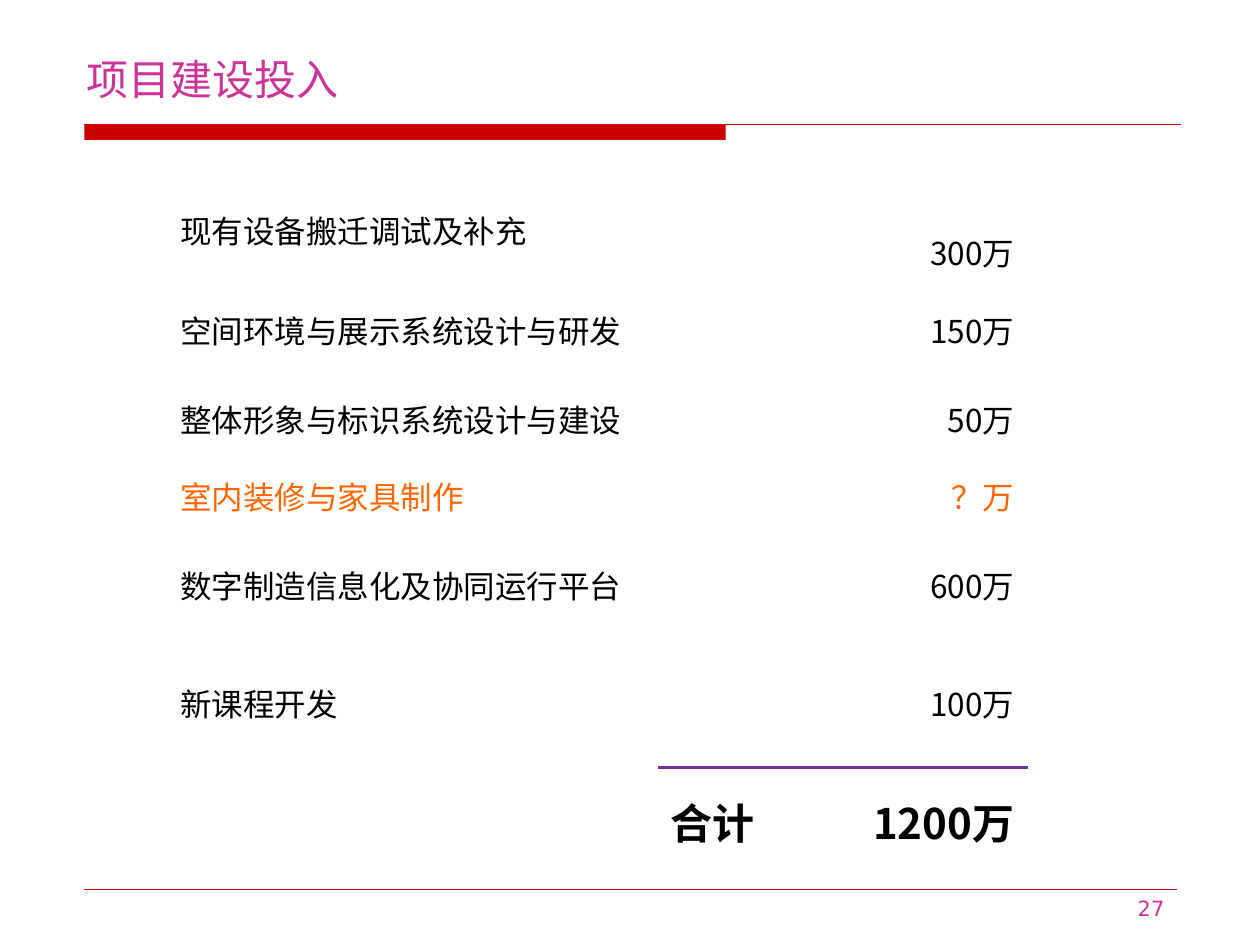
"""Build the project investment slide with its budget table."""
import pptx
import pptx.dml.color
import pptx.enum.shapes
import pptx.enum.text
import pptx.oxml
import pptx.oxml.ns
import pptx.util
from pptx.util import Inches

COLORS = {"red": "CC0000", "pink": "CC3399", "black": "000000",
          "orange": "FF6600", "purple": "7030A0", "white": "FFFFFF"}
CJK = "Noto Sans CJK SC"
ALIGN = pptx.enum.text.PP_ALIGN
MIDDLE = pptx.enum.text.MSO_ANCHOR.MIDDLE
NS = pptx.oxml.ns.nsdecls("a")


def write(tf, text, size=18, color="black", font=CJK, bold=False, align=ALIGN.LEFT):
    p = tf.paragraphs[0]
    p.alignment = align
    r = p.add_run()
    r.text = text
    r.font.size = pptx.util.Pt(size)
    r.font.bold = bold
    r.font.name = font
    r.font.color.rgb = pptx.dml.color.RGBColor.from_string(COLORS[color])
    r.font._element.append(pptx.oxml.parse_xml(f'<a:ea {NS} typeface="{font}"/>'))


def set_border(cell, side, color, width):
    cell._tc.get_or_add_tcPr().append(pptx.oxml.parse_xml(
        f'<a:ln{side} {NS} w="{pptx.util.Pt(width)}"><a:solidFill>'
        f'<a:srgbClr val="{COLORS[color]}"/></a:solidFill></a:ln{side}>'))


prs = pptx.Presentation()
prs.slide_width, prs.slide_height = Inches(10), Inches(7.5)
s = prs.slides.add_slide(prs.slide_layouts[6])
red = pptx.dml.color.RGBColor.from_string(COLORS["red"])

bar = s.shapes.add_shape(pptx.enum.shapes.MSO_SHAPE.RECTANGLE,
                         Inches(0.67), Inches(0.99), Inches(5.09), Inches(0.12))
bar.shadow.inherit = False
bar.fill.solid()
bar.fill.fore_color.rgb = red
bar.line.fill.background()

for y, right, width in [(0.99, 9.37, 0.75), (7.06, 9.34, 0.25)]:
    rule = s.shapes.add_connector(pptx.enum.shapes.MSO_CONNECTOR.STRAIGHT,
                                  Inches(0.67), Inches(y), Inches(right), Inches(y))
    rule.line.color.rgb = red
    rule.line.width = pptx.util.Pt(width)
    rule._element.spPr.append(pptx.oxml.parse_xml(f"<a:effectLst {NS}/>"))

title = s.shapes.add_textbox(Inches(0.59), Inches(0.28), Inches(6.93), Inches(0.59))
title.text_frame.word_wrap = True
title.text_frame.vertical_anchor = pptx.enum.text.MSO_ANCHOR.BOTTOM
write(title.text_frame, "项目建设投入", size=24, color="pink")

items = [
    ("现有设备搬迁调试及补充", "300万", 0.84, "black"),
    ("空间环境与展示系统设计与研发", "150万", 0.76, "black"),
    ("整体形象与标识系统设计与建设", "50万", 0.65, "black"),
    ("室内装修与家具制作", "？万", 0.57, "orange"),
    ("数字制造信息化及协同运行平台", "600万", 0.85, "black"),
    ("新课程开发", "100万", 1.02, "black"),
]
total_row = len(items)
heights = [item[2] for item in items] + [0.85]
table = s.shapes.add_table(len(heights), 3, Inches(1.33), Inches(1.4),
                           Inches(6.82), Inches(sum(heights))).table
table.first_row = table.horz_banding = False
for column, width in zip(table.columns, [3.89, 1.05, 1.88]):
    column.width = Inches(width)

for i, height in enumerate(heights):
    table.rows[i].height = Inches(height)
    for j in range(3):
        cell = table.cell(i, j)
        cell.vertical_anchor = MIDDLE
        for side in "LRTB":
            is_sum_line = j > 0 and (i, side) in [(total_row - 1, "B"), (total_row, "T")]
            set_border(cell, side, *(("purple", 2.25) if is_sum_line else ("white", 1)))
        cell.fill.background()

for i, (name, amount, height, color) in enumerate(items):
    table.cell(i, 0).merge(table.cell(i, 1))
    write(table.cell(i, 0).text_frame, name, color=color)
    write(table.cell(i, 2).text_frame, amount, color=color, align=ALIGN.RIGHT)
table.cell(0, 2).margin_top = Inches(0.41)

write(table.cell(total_row, 1).text_frame, "合计", size=24, bold=True)
write(table.cell(total_row, 2).text_frame, "1200万", size=24, bold=True, align=ALIGN.RIGHT)

number = s.shapes.add_textbox(Inches(7.17), Inches(7.06), Inches(2.17), Inches(0.29))
number.text_frame.word_wrap = True
write(number.text_frame, "27", size=12, color="pink", font="DejaVu Sans", align=ALIGN.RIGHT)

prs.save("out.pptx")
